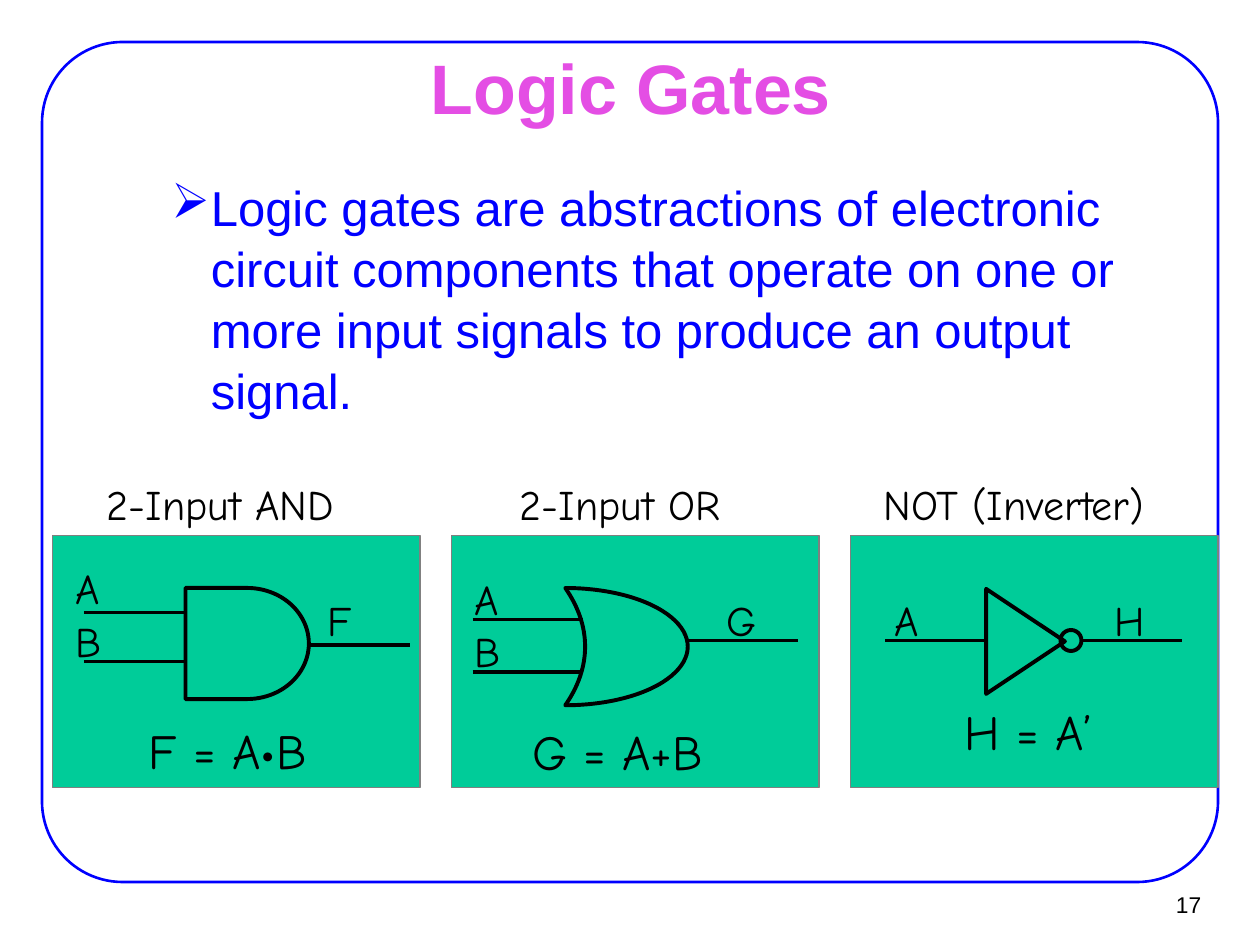
"""Build a slide introducing the AND, OR and NOT logic gates."""
from lxml.etree import SubElement
from pptx import Presentation
from pptx.dml.color import RGBColor
from pptx.enum.shapes import MSO_CONNECTOR, MSO_SHAPE
from pptx.enum.text import MSO_ANCHOR, MSO_AUTO_SIZE, PP_ALIGN
from pptx.oxml.ns import qn
from pptx.util import Pt

BLUE = RGBColor(0x00, 0x00, 0xFF)
PINK = RGBColor(0xE4, 0x4E, 0xE4)
GREEN = RGBColor(0x00, 0xCC, 0x99)
GRAY = RGBColor(0x80, 0x80, 0x80)
BLACK = RGBColor(0x00, 0x00, 0x00)
BODY_FONT = "Arial"
GATE_FONT = "Comic Neue"

TITLE = "Logic Gates"
DEFINITION = (
    "Logic gates are abstractions of electronic circuit components that "
    "operate on one or more input signals to produce an output signal."
)
PAGE_NUMBER = "17"
PANEL_LEFT, PANEL_TOP, PANEL_STEP = 30, 306, 228
PANEL_WIDTH, PANEL_HEIGHT = 210, 144
CAPTION_TOP = 270
LABEL_SIZE = 36

GATES = [
    {
        "caption": ("2-Input AND", 54, 163),
        "symbols": [(MSO_SHAPE.FLOWCHART_DELAY, (106, 336, 70.5, 63.5), 0, None)],
        "wires": [(48, 106, 350), (48, 106, 378), (176.5, 234, 368.6)],
        "labels": [("A", 36, 318), ("B", 36, 348), ("F", 180, 336)],
        "equation": ("F = A•B", 78, 408, 112),
    },
    {
        "caption": ("2-Input OR", 290, 142),
        "symbols": [(MSO_SHAPE.MOON, (323, 336, 70, 67), 180, 0.838)],
        "wires": [(270, 333, 354), (270, 333, 384), (393, 456, 366)],
        "labels": [("A", 264, 324), ("B", 264, 354), ("G", 408, 336)],
        "equation": ("G = A+B", 297, 409, 116),
    },
    {
        "caption": ("NOT (Inverter)", 498, 192),
        "symbols": [
            (MSO_SHAPE.ISOSCELES_TRIANGLE, (556, 344, 60, 45), 90, 0.5),
            (MSO_SHAPE.OVAL, (606, 360, 12, 12), 0, None),
        ],
        "wires": [(506, 564, 366), (618, 675.5, 366)],
        "labels": [("A", 504, 336), ("H", 630, 336)],
        "equation": ("H = A’", 544, 397.5, 92),
    },
]


def set_font(paragraph, name, size, color, bold=False):
    font = paragraph.font
    font.name, font.size, font.bold = name, Pt(size), bold
    font.color.rgb = color


def set_margins(frame, horizontal, vertical):
    frame.margin_left = frame.margin_right = Pt(horizontal)
    frame.margin_top = frame.margin_bottom = Pt(vertical)


def add_outline(slide, kind, box, color, width, fill=None, adjustment=None):
    shape = slide.shapes.add_shape(kind, *map(Pt, box))
    shape.shadow.inherit = False
    if fill is None:
        shape.fill.background()
    else:
        shape.fill.solid()
        shape.fill.fore_color.rgb = fill
    shape.line.color.rgb = color
    shape.line.width = Pt(width)
    if adjustment is not None:
        shape.adjustments[0] = adjustment
    return shape


def add_text(slide, text, box, size, font=GATE_FONT, color=BLACK, wrap=False):
    frame = slide.shapes.add_textbox(*map(Pt, box)).text_frame
    frame.word_wrap = wrap
    frame.text = text
    set_font(frame.paragraphs[0], font, size, color)
    return frame


def add_wire(slide, start, end, height):
    wire = slide.shapes.add_connector(
        MSO_CONNECTOR.STRAIGHT, Pt(start), Pt(height), Pt(end), Pt(height)
    )
    wire.line.color.rgb = BLACK
    wire.line.width = Pt(2.25)
    SubElement(wire._element.spPr, qn("a:effectLst"))


def add_title(slide):
    title = slide.shapes.title
    title.left, title.top, title.width, title.height = map(Pt, (54.5, 31.5, 612, 35.5))
    frame = title.text_frame
    frame.text = TITLE
    frame.auto_size = MSO_AUTO_SIZE.NONE
    frame.vertical_anchor = MSO_ANCHOR.MIDDLE
    set_margins(frame, 8, 4)
    paragraph = frame.paragraphs[0]
    paragraph.alignment = PP_ALIGN.CENTER
    set_font(paragraph, BODY_FONT, 40, PINK, bold=True)


def add_definition(slide):
    box = (54, 96, 612, 366)
    frame = add_text(slide, DEFINITION, box, 28, BODY_FONT, BLUE, wrap=True)
    set_margins(frame, 8, 4)
    paragraph = frame.paragraphs[0]
    paragraph.line_spacing = 1.04
    properties = paragraph._p.get_or_add_pPr()
    properties.set("marL", str(Pt(58.5)))
    properties.set("indent", str(Pt(-22.5)))
    bullet = SubElement(properties, qn("a:buChar"))
    bullet.set("char", "➢")
    properties.insert_element_before(bullet, "a:tabLst", "a:defRPr", "a:extLst")


def add_gate(slide, gate):
    text, left, width = gate["caption"]
    add_text(slide, text, (left, CAPTION_TOP, width, LABEL_SIZE), 24)
    for kind, box, rotation, adjustment in gate["symbols"]:
        symbol = add_outline(slide, kind, box, BLACK, 2.25, adjustment=adjustment)
        symbol.rotation = rotation
    for wire in gate["wires"]:
        add_wire(slide, *wire)
    for text, left, top in gate["labels"]:
        add_text(slide, text, (left, top, LABEL_SIZE, LABEL_SIZE), 24, wrap=True)
    text, left, top, width = gate["equation"]
    add_text(slide, text, (left, top, width, 41), 28)


def main():
    presentation = Presentation()
    presentation.slide_width, presentation.slide_height = Pt(720), Pt(540)
    slide = presentation.slides.add_slide(presentation.slide_layouts[5])
    add_outline(slide, MSO_SHAPE.ROUNDED_RECTANGLE, (24, 24, 672, 480), BLUE, 1.5,
                adjustment=0.096)
    number = add_text(slide, PAGE_NUMBER, (649.5, 503.5, 44, 26.5), 13, BODY_FONT)
    number.vertical_anchor = MSO_ANCHOR.MIDDLE
    number.paragraphs[0].alignment = PP_ALIGN.RIGHT
    for index in range(len(GATES)):
        left = PANEL_LEFT + index * PANEL_STEP
        add_outline(slide, MSO_SHAPE.RECTANGLE,
                    (left, PANEL_TOP, PANEL_WIDTH, PANEL_HEIGHT), GRAY, 0.75, GREEN)
    add_title(slide)
    add_definition(slide)
    for gate in GATES:
        add_gate(slide, gate)
    presentation.save("out.pptx")


if __name__ == "__main__":
    main()
